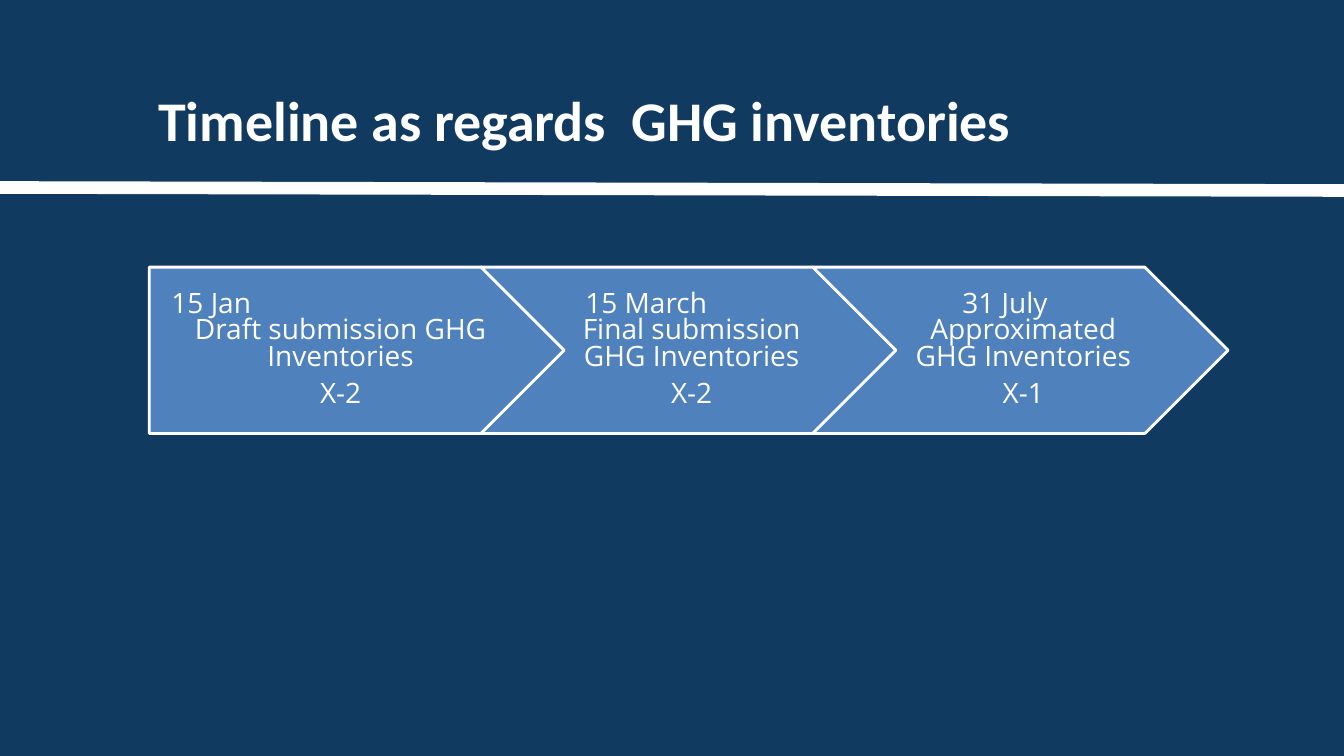
from dataclasses import dataclass

from pptx import Presentation
from pptx.dml.color import RGBColor
from pptx.enum.shapes import MSO_CONNECTOR, MSO_SHAPE
from pptx.enum.text import MSO_ANCHOR, MSO_AUTO_SIZE, PP_ALIGN
from pptx.oxml.ns import qn
from pptx.slide import Slide
from pptx.text.text import _Paragraph
from pptx.util import Inches, Pt

PENTAGON, CHEVRON = MSO_SHAPE.PENTAGON, MSO_SHAPE.CHEVRON
STRAIGHT = MSO_CONNECTOR.STRAIGHT
TOP, MIDDLE = MSO_ANCHOR.TOP, MSO_ANCHOR.MIDDLE
LEFT, CENTER = PP_ALIGN.LEFT, PP_ALIGN.CENTER
NO_AUTOFIT = MSO_AUTO_SIZE.NONE

NAVY, BLUE, WHITE = "113A60", "4F81BD", "FFFFFF"
TITLE_FONT = {"name": "Calibri", "size": Pt(40), "bold": True}
STEP_FONT = {"name": "Open Sans", "size": Pt(20), "bold": False}

STEP_LEFT, STEP_TOP = 1.48, 2.65
STEP_WIDTH, STEP_HEIGHT = 4.12, 1.65
STEP_PITCH = 3.29


@dataclass
class Step:
    """One deadline in the timeline."""

    date: str
    task: str
    year: str
    date_indent: float


STEPS = [
    Step("15 Jan", "Draft submission GHG Inventories", "X-2", 0.1),
    Step("15 March", "Final submission GHG Inventories", "X-2", 0.12),
    Step("31 July", "Approximated GHG Inventories", "X-1", 0.57),
]


def color(value: str) -> RGBColor:
    """Turn a hex string into a colour."""
    return RGBColor.from_string(value)


def apply_format(target: object, values: dict) -> None:
    """Set every attribute named in the format values."""
    for name, value in values.items():
        setattr(target, name, value)


def format_font(paragraph: _Paragraph, values: dict) -> None:
    """Give a paragraph its font in white."""
    apply_format(paragraph.font, values)
    paragraph.font.color.rgb = color(WHITE)


def add_title(slide: Slide, text: str) -> None:
    """Place and format the slide title."""
    title = slide.shapes.title
    apply_format(title, {"left": Inches(1.47), "top": Inches(0.8),
                         "width": Inches(9.7), "height": Inches(0.63)})
    frame = title.text_frame
    frame.text = text
    apply_format(frame, {"vertical_anchor": TOP, "auto_size": NO_AUTOFIT,
                         "word_wrap": True})
    paragraph = frame.paragraphs[0]
    paragraph.alignment = LEFT
    format_font(paragraph, TITLE_FONT)


def add_divider(slide: Slide) -> None:
    """Draw the thick line below the title."""
    divider = slide.shapes.add_connector(
        STRAIGHT, 0, Inches(1.86), Inches(13.33), Inches(1.89))
    divider.line.color.rgb = color(WHITE)
    divider.line.width = Pt(9)
    properties = divider._element.spPr
    properties.append(properties.makeelement(qn("a:effectLst"), {}))


def add_step(slide: Slide, index: int, step: Step) -> None:
    """Draw one arrow of the timeline with its text."""
    shape = slide.shapes.add_shape(
        CHEVRON if index else PENTAGON,
        Inches(STEP_LEFT + index * STEP_PITCH), Inches(STEP_TOP),
        Inches(STEP_WIDTH), Inches(STEP_HEIGHT))
    shape.shadow.inherit = False
    shape.fill.solid()
    shape.fill.fore_color.rgb = color(BLUE)
    shape.line.color.rgb = color(WHITE)
    shape.line.width = Pt(2)
    frame = shape.text_frame
    frame.text = "\n".join([step.date, step.task, step.year])
    apply_format(frame, {"vertical_anchor": MIDDLE, "word_wrap": True,
                         "margin_left": Inches(0.09 if index else 0.12),
                         "margin_right": Inches(0.03),
                         "margin_top": Inches(0.06),
                         "margin_bottom": Inches(0.06)})
    for paragraph in frame.paragraphs:
        apply_format(paragraph, {"alignment": CENTER, "line_spacing": 0.8})
        format_font(paragraph, STEP_FONT)
    date, task, _ = frame.paragraphs
    date.alignment = LEFT
    date._p.get_or_add_pPr().set("marL", str(Inches(step.date_indent)))
    task.space_after = Pt(7)


def main() -> None:
    """Build and save the timeline slide."""
    presentation = Presentation()
    presentation.slide_width = Inches(13.33)
    presentation.slide_height = Inches(7.5)
    slide = presentation.slides.add_slide(presentation.slide_layouts[5])
    slide.background.fill.solid()
    slide.background.fill.fore_color.rgb = color(NAVY)
    add_divider(slide)
    add_title(slide, "Timeline as regards  GHG inventories")
    for index, step in enumerate(STEPS):
        add_step(slide, index, step)
    presentation.save("out.pptx")


if __name__ == "__main__":
    main()
